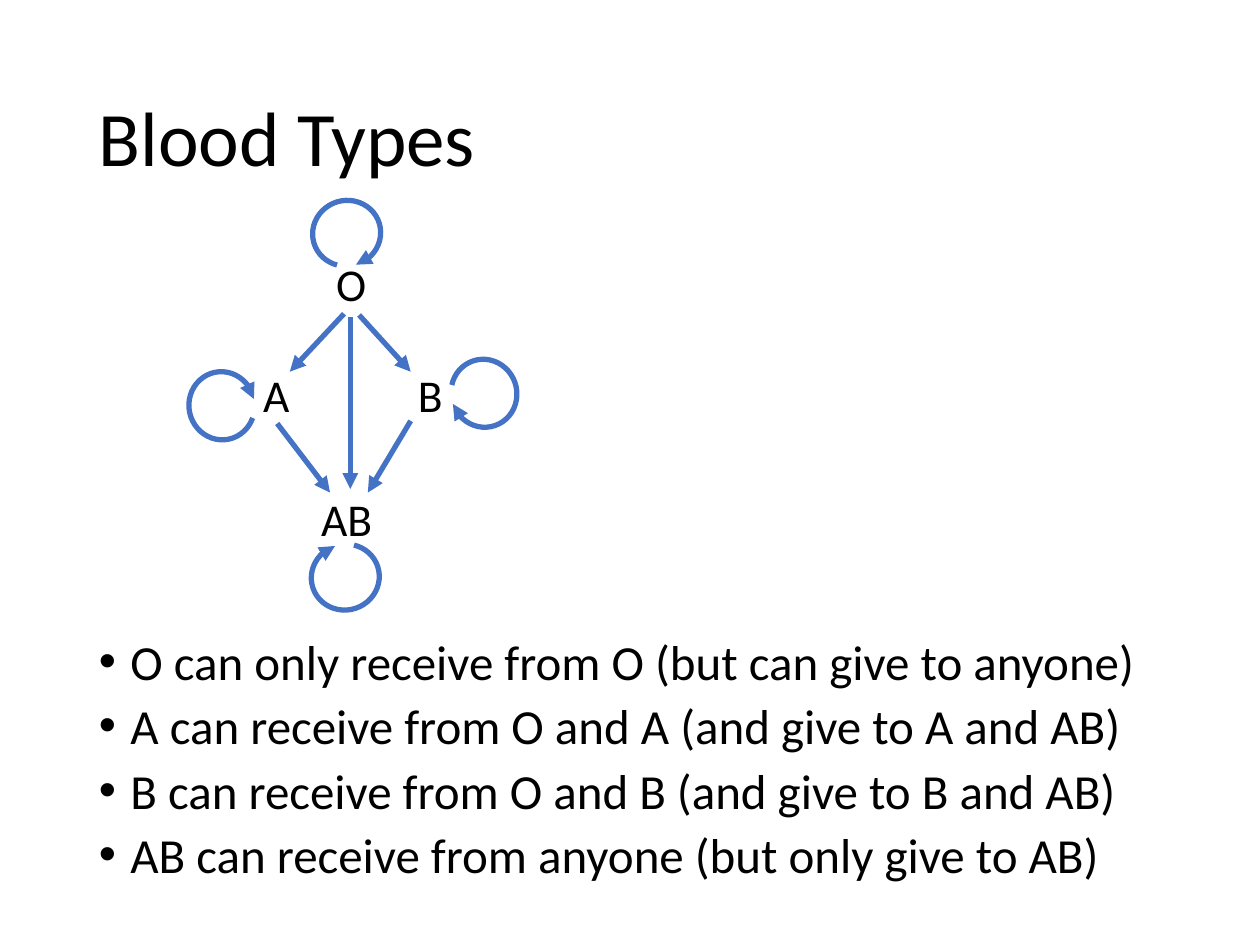
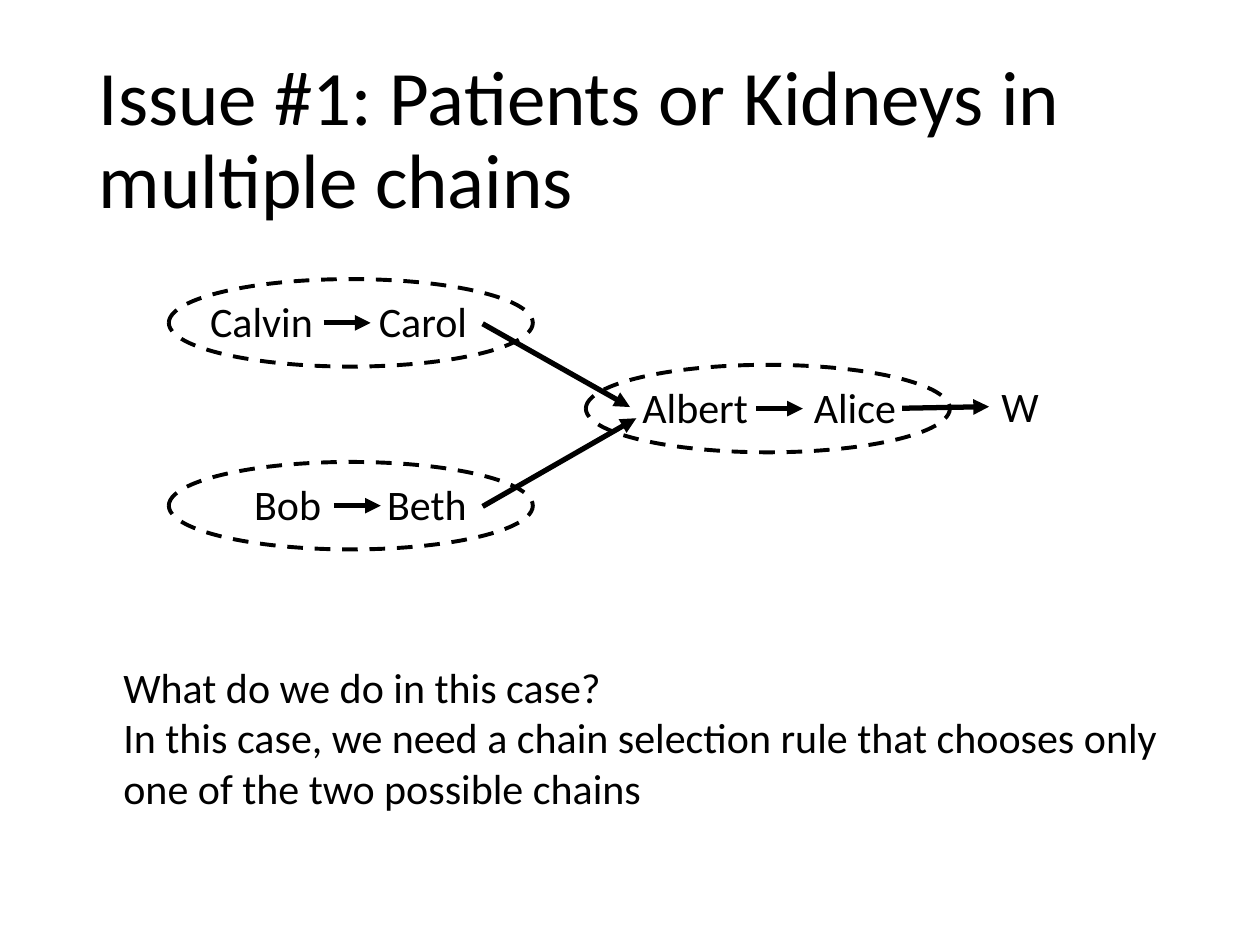
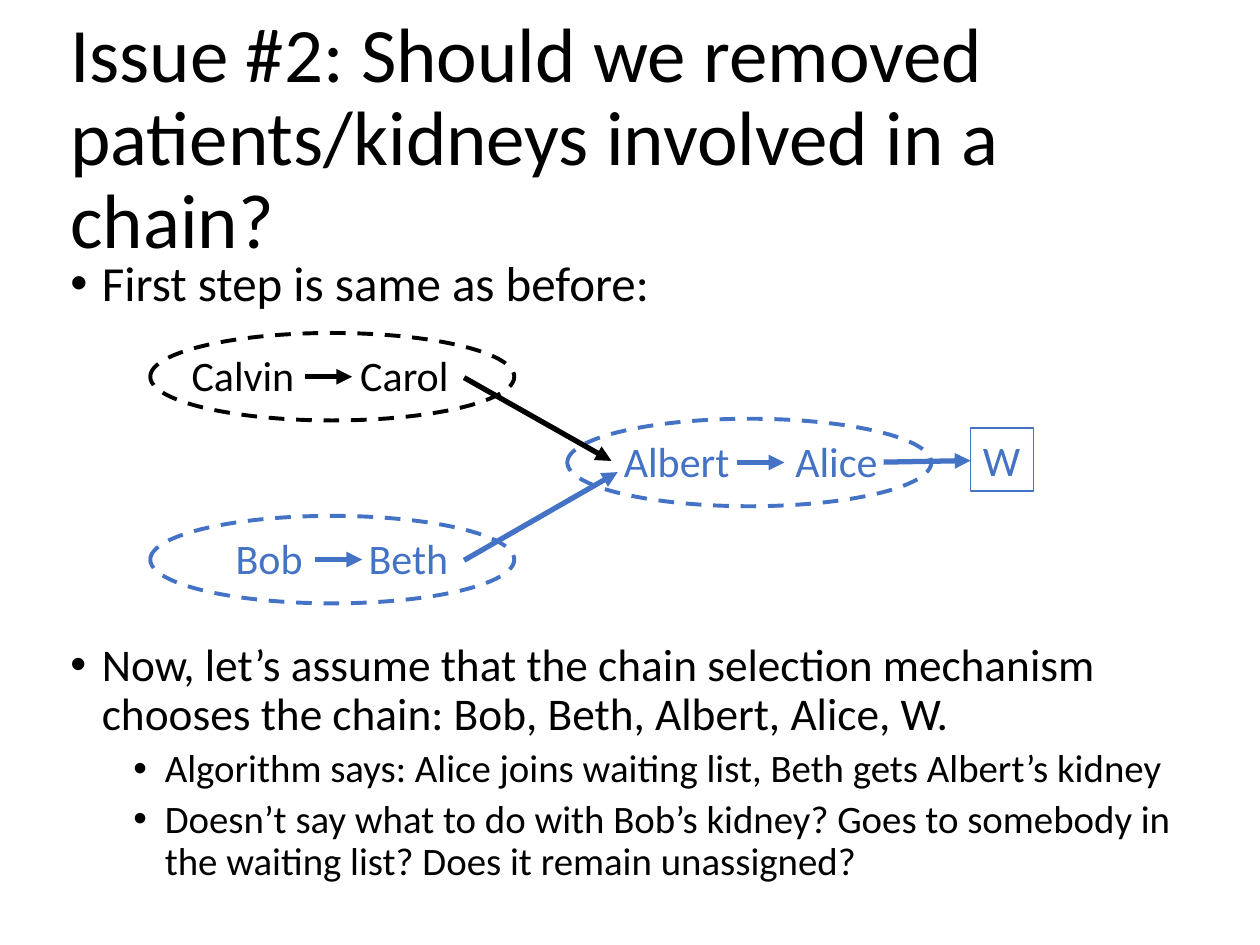
from lxml import etree
from pptx import Presentation
from pptx.dml.color import RGBColor
from pptx.enum.dml import MSO_LINE
from pptx.enum.shapes import MSO_CONNECTOR, MSO_SHAPE
from pptx.enum.text import MSO_ANCHOR
from pptx.oxml.ns import qn
from pptx.util import Pt

BLACK = RGBColor(0x00, 0x00, 0x00)
BLUE = RGBColor(0x44, 0x72, 0xC4)
FONT = "Calibri"
STRAIGHT = MSO_CONNECTOR.STRAIGHT
ARC = MSO_SHAPE.ARC
OVAL = MSO_SHAPE.OVAL
DASH = MSO_LINE.DASH
MIDDLE = MSO_ANCHOR.MIDDLE
TOP = MSO_ANCHOR.TOP

TITLE = {"size": 44, "line_spacing": 0.9}
LABEL = {"size": 26}
NAME = {"size": 24}
RULE = {"size": 28, "line_spacing": 0.8, "space_before": 10, "indent": 18}
STEP = {"size": 28, "line_spacing": 0.9, "space_before": 10, "indent": 18}
POINT = {**STEP, "size": 25.9}
SUBPOINT = {**STEP, "size": 22.2, "space_before": 5, "indent": 54, "level": 1}

HANGING = 18
ARROW_WIDTH = 3
LOOP_SIZE = (37.5, 39)
OVAL_SIZE = (208, 50)
PAIR_ARROW_LENGTH = 26.8


class Deck:
    def __init__(self):
        self.presentation = Presentation()
        self.presentation.slide_width = Pt(720)
        self.presentation.slide_height = Pt(540)
        self.slide = None

    def add_slide(self, title, box=(49.5, 28.8, 621, 104.4)):
        blank = self.presentation.slide_layouts[6]
        self.slide = self.presentation.slides.add_slide(blank)
        self.text(box, [(title, TITLE)], anchor=MIDDLE)

    def text(self, box, items, color=BLACK, anchor=TOP, wrap=True, tab=None):
        shape = self.slide.shapes.add_textbox(*map(Pt, box))
        frame = shape.text_frame
        frame.word_wrap = wrap
        frame.vertical_anchor = anchor
        if tab:
            frame.margin_right = 0
        for index, (content, style) in enumerate(items):
            paragraph = frame.add_paragraph() if index else frame.paragraphs[0]
            self.format_paragraph(paragraph, style, index == 0, tab)
            run = paragraph.add_run()
            run.text = content
            values = {"name": FONT, "size": Pt(style["size"])}
            for key, value in values.items():
                setattr(run.font, key, value)
            run.font.color.rgb = color
        return shape

    def format_paragraph(self, paragraph, style, first, tab):
        values = {
            "level": style.get("level", 0),
            "line_spacing": style.get("line_spacing", 1.0),
            "space_before": Pt(0 if first else style.get("space_before", 0)),
        }
        for key, value in values.items():
            setattr(paragraph, key, value)
        properties = paragraph._p.get_or_add_pPr()
        if "indent" in style:
            properties.set("marL", str(Pt(style["indent"])))
            properties.set("indent", str(-Pt(HANGING)))
            etree.SubElement(properties, qn("a:buFont"), typeface="Arial")
            etree.SubElement(properties, qn("a:buChar"), char="•")
        if tab:
            tabs = etree.SubElement(properties, qn("a:tabLst"))
            etree.SubElement(tabs, qn("a:tab"), pos=str(Pt(tab)), algn="l")

    def style_line(self, shape, color, width, arrow=False):
        shape.line.color.rgb = color
        shape.line.width = Pt(width)
        if arrow:
            line = shape.line._get_or_add_ln()
            etree.SubElement(line, qn("a:tailEnd"), type="triangle")

    def arrow(self, start, end, color=BLACK):
        connector = self.slide.shapes.add_connector(
            STRAIGHT, *map(Pt, (*start, *end)))
        self.style_line(connector, color, ARROW_WIDTH, arrow=True)
        etree.SubElement(connector._element.spPr, qn("a:effectLst"))

    def outline(self, kind, left, top, size):
        shape = self.slide.shapes.add_shape(
            kind, *map(Pt, (left, top, *size)))
        shape.shadow.inherit = False
        shape.fill.background()
        return shape

    def loop(self, left, top, rotation):
        shape = self.outline(ARC, left, top, LOOP_SIZE)
        shape.adjustments[0] = 20.04
        shape.adjustments[1] = 0
        shape.rotation = rotation
        self.style_line(shape, BLUE, ARROW_WIDTH, arrow=True)

    def oval(self, left, top, color):
        shape = self.outline(OVAL, left, top, OVAL_SIZE)
        self.style_line(shape, color, 2.25)
        shape.line.dash_style = DASH

    def pair(self, names, text_left, width, tab, oval_left, arrow_left, middle, color):
        self.text((text_left, middle - 19, width, 36),
                  [("\t".join(names), NAME)], color, tab=tab)
        self.oval(oval_left, middle - 25, color)
        self.arrow((arrow_left, middle),
                   (arrow_left + PAIR_ARROW_LENGTH, middle), color)

    def chains(self, right=0, down=0, chosen=BLACK, boxed=False):
        pairs = [
            (("Albert", "Alice"), 360, 161.3, 98, 334.8, 432, 233.5, chosen),
            (("Bob", "Beth"), 138.2, 136.8, 76, 96.5, 190.8, 289, chosen),
            (("Calvin", "Carol"), 113, 162.7, 96.4, 96.5, 185, 184.5, BLACK),
        ]
        for names, text_left, width, tab, oval_left, arrow_left, middle, color in pairs:
            self.pair(names, text_left + right, width, tab, oval_left + right,
                      arrow_left + right, middle + down, color)
        links = [
            ((275.8, 289.4), (363.6, 239), chosen),
            ((275.8, 185), (360, 232.6), BLACK),
            ((515.5, 233.3), (565.2, 232.4), chosen),
        ]
        for (start_x, start_y), (end_x, end_y), color in links:
            self.arrow((start_x + right, start_y + down),
                       (end_x + right, end_y + down), color)
        waiting = self.text((565.2 + right, 213.8 + down, 36, 36),
                            [("W", NAME)], chosen, wrap=False)
        if boxed:
            self.style_line(waiting, chosen, 0.75)


def blood_types(deck):
    deck.add_slide("Blood Types")
    rules = [
        "O can only receive from O (but can give to anyone)",
        "A can receive from O and A (and give to A and AB)",
        "B can receive from O and B (and give to B and AB)",
        "AB can receive from anyone (but only give to AB)",
    ]
    deck.text((49.5, 363.6, 621, 156), [(rule, RULE) for rule in rules])
    labels = [("O", 185, 142.6, 31.7), ("AB", 176.4, 277.2, 44),
              ("B", 231.8, 206, 28.8), ("A", 143.3, 206, 29.5)]
    for label, left, top, width in labels:
        deck.text((left, top, width, 38.9), [(label, LABEL)], wrap=False)
    gifts = [
        ((196.6, 179.3), (165.6, 212.4)),
        ((205.2, 180), (234.7, 212.4)),
        ((200.2, 181.4), (200.2, 279.4)),
        ((234.7, 240.5), (210.2, 281.5)),
        ((158.4, 242), (188.6, 281.5)),
    ]
    for start, end in gifts:
        deck.arrow(start, end, BLUE)
    loops = [(179.3, 113.8, 73.4), (257.8, 205.2, 161),
             (108, 212.4, 348.1), (178.6, 310.3, 251.8)]
    for left, top, rotation in loops:
        deck.loop(left, top, rotation)


def multiple_chains(deck):
    deck.add_slide("Issue #1: Patients or Kidneys in multiple chains")
    deck.chains()
    deck.text((63.4, 374.4, 607.7, 94.3), [
        ("What do we do in this case?", NAME),
        ("In this case, we need a chain selection rule that chooses only "
         "one of the two possible chains", NAME),
    ])


def removal(deck):
    deck.add_slide(
        "Issue #2: Should we removed patients/kidneys involved in a chain?",
        (33.1, 28, 670.3, 104.4))
    deck.text((33.1, 144.7, 670.3, 41.8),
              [("First step is same as before:", STEP)])
    deck.chains(right=-10.6, down=30.8, chosen=BLUE, boxed=True)
    deck.text((33.1, 363.6, 670.3, 158.4), [
        ("Now, let’s assume that the chain selection mechanism chooses "
         "the chain: Bob, Beth, Albert, Alice, W.", POINT),
        ("Algorithm says: Alice joins waiting list, Beth gets Albert’s kidney",
         SUBPOINT),
        ("Doesn’t say what to do with Bob’s kidney? Goes to somebody in "
         "the waiting list? Does it remain unassigned?", SUBPOINT),
    ])


def main():
    deck = Deck()
    blood_types(deck)
    multiple_chains(deck)
    removal(deck)
    deck.presentation.save("out.pptx")


if __name__ == "__main__":
    main()
